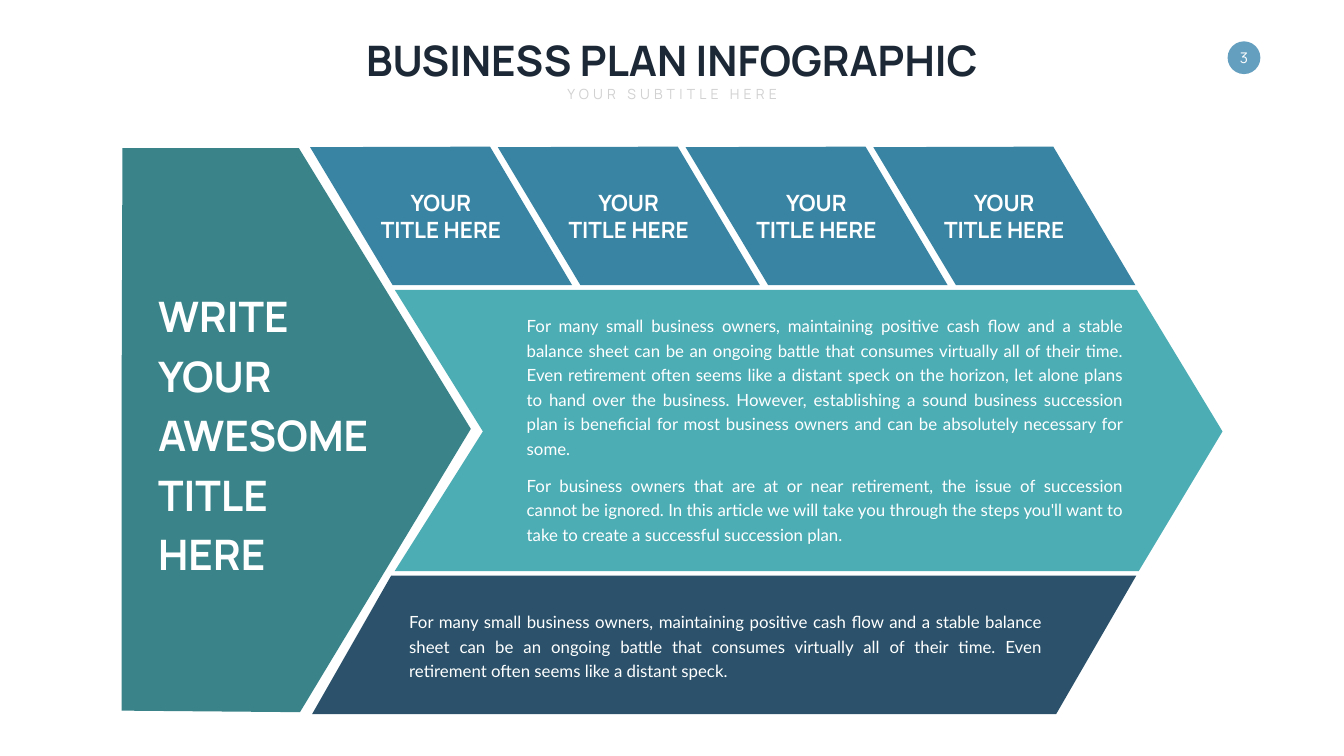
from pptx import Presentation
from pptx.dml.color import RGBColor
from pptx.enum.shapes import MSO_SHAPE as Preset
from pptx.enum.text import MSO_ANCHOR as Anchor, MSO_AUTO_SIZE as Fit, PP_ALIGN as Align
from pptx.util import Inches, Pt

THEME = {
    "teal": "398389", "navy": "2B526A", "blue": "3984A3", "aqua": "4DADB5",
    "badge": "659FC0", "ink": "1C2835", "grey": "D1D1D1", "white": "FFFFFF",
    "heading_font": "Manrope", "body_font": "Lato",
    "title": 60, "step": 32, "body": 24, "badge_size": 21, "subtitle": 20,
    "headline_line": 85, "body_line": 35, "body_gap": 18, "tracking": 6,
}

TITLE = ["BUSINESS PLAN INFOGRAPHIC"]
SUBTITLE = ["YOUR SUBTITLE HERE"]
PAGE_NUMBER = ["3"]
HEADLINE = ["WRITE YOUR", "AWESOME TITLE HERE"]
STEPS = ["YOUR TITLE HERE"] * 4
BODY = [
    "For many small business owners, maintaining positive cash flow and a stable balance sheet "
    "can be an ongoing battle that consumes virtually all of their time. Even retirement often "
    "seems like a distant speck on the horizon, let alone plans to hand over the business. However, "
    "establishing a sound business succession plan is beneficial for most business owners and can "
    "be absolutely necessary for some.",
    "For business owners that are at or near retirement, the issue of succession cannot be ignored. "
    "In this article we will take you through the steps you'll want to take to create a successful "
    "succession plan.",
]
SUMMARY = [
    "For many small business owners, maintaining positive cash flow and a stable balance sheet "
    "can be an ongoing battle that consumes virtually all of their time. Even retirement often "
    "seems like a distant speck.",
]

WIDTH, HEIGHT = Inches(26.66), Inches(15)
STEP_PITCH = 13.97
STEP_OUTLINE = [(23.07, 19.47), (36.46, 19.4), (42.57, 37.73), (29.22, 37.73)]
STEP_BOX = (27.91, 24.67, 9.79, 7.87)
PANELS = [
    ("teal", [(9.11, 19.6), (22.24, 19.6), (35.03, 56.73), (22.32, 94.2), (9.04, 94), (9.04, 56.6)]),
    ("navy", [(29.11, 76.13), (84.55, 76.13), (78.58, 94.47), (23.22, 94.47)]),
    ("aqua", [(29.37, 38.33), (84.58, 38.33), (90.96, 57.07),
              (84.73, 75.53), (29.37, 75.53), (35.93, 57.07)]),
]


def across(share):
    return round(WIDTH * share / 100)


def down(share):
    return round(HEIGHT * share / 100)


def place(box):
    left, top, width, height = box
    return across(left), down(top), across(width), down(height)


def paint(shape, color):
    shape.shadow.inherit = False
    shape.fill.solid()
    shape.fill.fore_color.rgb = RGBColor.from_string(THEME[color])
    shape.line.fill.background()


def add_panel(page, points, color):
    corners = [(across(x), down(y)) for x, y in points]
    builder = page.shapes.build_freeform(*corners[0])
    builder.add_line_segments(corners[1:], close=True)
    paint(builder.convert_to_shape(), color)


def write(shape, texts, size, color="white", font="heading_font", bold=False, align=Align.CENTER,
          anchor=Anchor.MIDDLE, wrap=True, line=None, gap=0, tracking=0):
    frame = shape.text_frame
    frame.word_wrap = wrap
    frame.auto_size = Fit.SHAPE_TO_FIT_TEXT
    frame.vertical_anchor = anchor
    for index, text in enumerate(texts):
        para = frame.add_paragraph() if index else frame.paragraphs[0]
        para.alignment = align
        if line:
            para.line_spacing = Pt(THEME[line])
        if index and gap:
            para.space_before = Pt(THEME[gap])
        span = para.add_run()
        span.text = text
        span.font.name = THEME[font]
        span.font.size = Pt(THEME[size])
        span.font.bold = bold
        span.font.color.rgb = RGBColor.from_string(THEME[color])
        if tracking:
            span.font._element.set("spc", str(THEME[tracking] * 100))


def add_text(page, box, texts, size, **style):
    write(page.shapes.add_textbox(*place(box)), texts, size, **style)


def add_badge(page):
    badge = page.shapes.add_shape(Preset.OVAL, *place((91.34, 5.47, 2.44, 4.33)))
    paint(badge, "badge")
    write(badge, PAGE_NUMBER, "badge_size", wrap=False)
    frame = badge.text_frame
    frame.auto_size = Fit.NONE
    frame.margin_left = frame.margin_right = frame.margin_top = frame.margin_bottom = 0


def main():
    deck = Presentation()
    deck.slide_width, deck.slide_height = WIDTH, HEIGHT
    page = deck.slides.add_slide(deck.slide_layouts[6])

    add_badge(page)
    for color, points in PANELS:
        add_panel(page, points, color)

    add_text(page, (26.33, 4.27, 47.34, 7.4), TITLE, "title", color="ink", bold=True,
             anchor=Anchor.TOP, wrap=False)
    add_text(page, (41.71, 10.93, 16.62, 2.93), SUBTITLE, "subtitle", color="grey",
             anchor=Anchor.TOP, wrap=False, tracking="tracking")
    add_text(page, (11.4, 40.87, 17.14, 32.13), HEADLINE, "title", bold=True,
             align=Align.LEFT, line="headline_line")

    left, top, width, height = STEP_BOX
    for column, label in enumerate(STEPS):
        shift = column * STEP_PITCH
        add_panel(page, [(x + shift, y) for x, y in STEP_OUTLINE], "blue")
        add_text(page, (left + shift, top, width, height), [label], "step", bold=True)

    prose = {"font": "body_font", "align": Align.JUSTIFY, "line": "body_line"}
    add_text(page, (38.82, 42.53, 45.09, 28.2), BODY, "body", gap="body_gap", **prose)
    add_text(page, (30.08, 80.2, 47.79, 10.13), SUMMARY, "body", **prose)
    deck.save("out.pptx")


if __name__ == "__main__":
    main()
